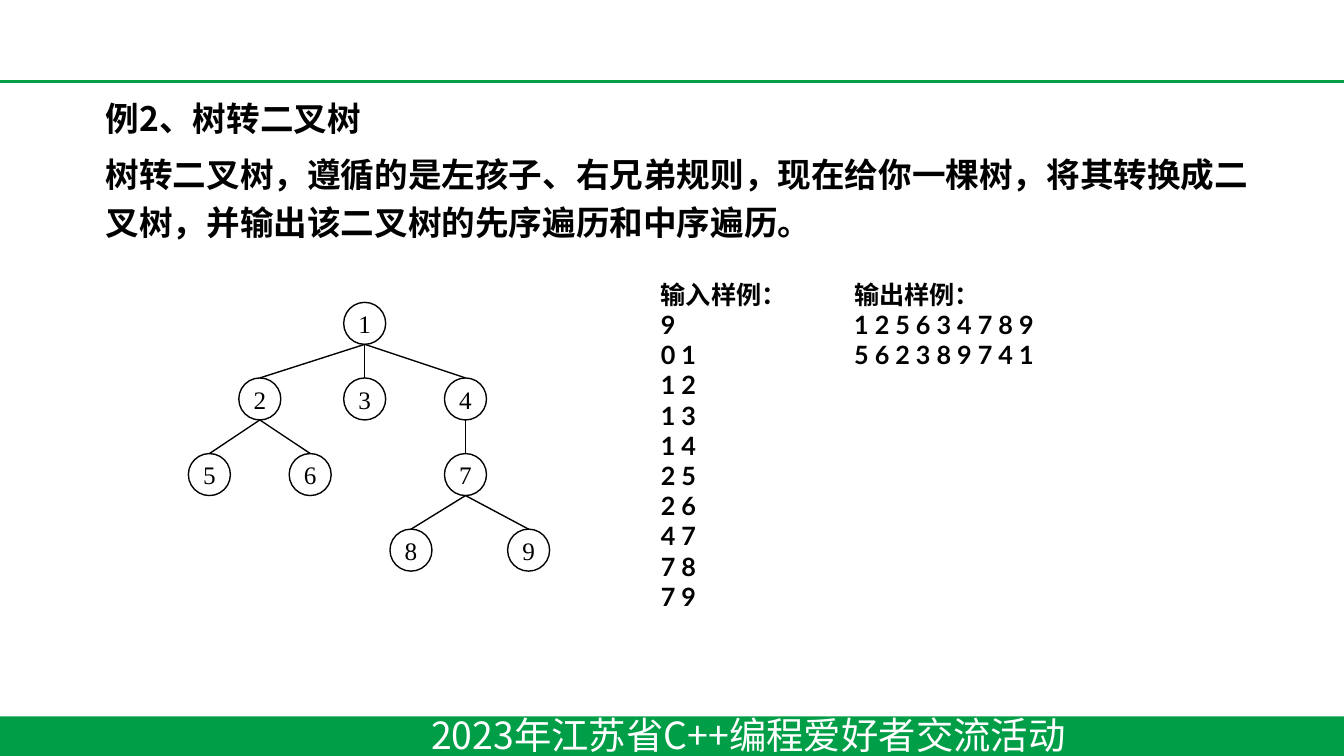
from dataclasses import dataclass

from lxml import etree
from pptx import Presentation
from pptx.dml.color import RGBColor
from pptx.enum.shapes import MSO_CONNECTOR, MSO_SHAPE
from pptx.enum.text import MSO_ANCHOR, PP_ALIGN
from pptx.oxml.ns import qn
from pptx.util import Pt

RECTANGLE, OVAL = MSO_SHAPE.RECTANGLE, MSO_SHAPE.OVAL
STRAIGHT = MSO_CONNECTOR.STRAIGHT
MIDDLE, CENTER = MSO_ANCHOR.MIDDLE, PP_ALIGN.CENTER

GREEN = RGBColor(0x00, 0x9E, 0x47)
BLACK = RGBColor(0x00, 0x00, 0x00)
WHITE = RGBColor(0xFF, 0xFF, 0xFF)
CJK_FONT = "Noto Sans CJK SC"

WIDTH, HEIGHT = 720, 405
NODE_SIZE, TREE_TOP, LEVEL_STEP = 22.5, 162, 40.5

FOOTER_FONT = {"name": CJK_FONT, "size": Pt(20), "bold": False}
PROBLEM_FONT = {"name": CJK_FONT, "size": Pt(18), "bold": True}
SAMPLE_FONT = {"name": "Lato", "size": Pt(13.5), "bold": True}
NODE_FONT = {"name": "Times New Roman", "size": Pt(13.5), "bold": False}
PROBLEM_SPACING = {"line_spacing": 1.2, "space_before": Pt(4)}
PROBLEM_MARGINS = {"margin_left": Pt(2.7), "margin_right": Pt(2.7)}
NODE_FRAME = {"margin_left": 0, "margin_right": 0, "margin_top": 0,
              "margin_bottom": 0, "vertical_anchor": MIDDLE, "word_wrap": False}


@dataclass(frozen=True)
class Node:
    label: int
    center: float
    level: int
    parent: int = 0

    @property
    def top(self) -> float:
        return TREE_TOP + self.level * LEVEL_STEP


@dataclass(frozen=True)
class TextBlock:
    left: float
    top: float
    width: float
    height: float
    lines: tuple[str, ...]
    font: dict
    color: RGBColor = BLACK
    hanging: float = 0


NODES = (
    Node(1, 195.4, 0),
    Node(2, 139.2, 1, 1), Node(3, 195.4, 1, 1), Node(4, 249.4, 1, 1),
    Node(5, 112.2, 2, 2), Node(6, 166.2, 2, 2), Node(7, 249.4, 2, 4),
    Node(8, 220.2, 3, 7), Node(9, 283.2, 3, 7),
)
FOOTER = TextBlock(223.9, 378, 493.9, 31.7,
                   ("2023年江苏省C++编程爱好者交流活动",), FOOTER_FONT, WHITE)
PROBLEM = TextBlock(54, 44.8, 619.2, 360, (
    "例2、树转二叉树",
    "树转二叉树，遵循的是左孩子、右兄弟规则，现在给你一棵树，"
    "将其转换成二叉树，并输出该二叉树的先序遍历和中序遍历。",
), PROBLEM_FONT)
SAMPLE_INPUT = TextBlock(347, 146, 89.3, 187.2, (
    "输入样例：", "9", "0 1", "1 2", "1 3", "1 4",
    "2 5", "2 6", "4 7", "7 8", "7 9",
), SAMPLE_FONT, hanging=36)
SAMPLE_OUTPUT = TextBlock(450.5, 146, 170, 56.2, (
    "输出样例：", "1 2 5 6 3 4 7 8 9", "5 6 2 3 8 9 7 4 1",
), SAMPLE_FONT, hanging=36)


def apply(target, values: dict) -> None:
    for name, value in values.items():
        setattr(target, name, value)


def write(paragraph, text: str, font: dict, color: RGBColor) -> None:
    run = paragraph.add_run()
    run.text = text
    apply(run.font, font)
    run.font.color.rgb = color
    east_asian = etree.SubElement(run.font._element, qn("a:ea"))
    east_asian.set("typeface", CJK_FONT)


def draw_text(shapes, block: TextBlock):
    frame = shapes.add_textbox(Pt(block.left), Pt(block.top),
                               Pt(block.width), Pt(block.height)).text_frame
    frame.word_wrap = True
    for index, line in enumerate(block.lines):
        paragraph = frame.add_paragraph() if index else frame.paragraphs[0]
        write(paragraph, line, block.font, block.color)
        if block.hanging:
            properties = paragraph._p.get_or_add_pPr()
            properties.set("marL", str(Pt(block.hanging)))
            properties.set("indent", str(-Pt(block.hanging)))
    return frame


def draw_line(shapes, start: tuple[float, float], end: tuple[float, float],
              color: RGBColor, weight: float) -> None:
    line = shapes.add_connector(STRAIGHT, *map(Pt, start + end))
    line.line.color.rgb = color
    line.line.width = Pt(weight)
    etree.SubElement(line._element.spPr, qn("a:effectLst"))


def draw_node(shapes, node: Node) -> None:
    circle = shapes.add_shape(OVAL, Pt(node.center - NODE_SIZE / 2), Pt(node.top),
                              Pt(NODE_SIZE), Pt(NODE_SIZE))
    circle.shadow.inherit = False
    circle.fill.background()
    circle.line.color.rgb = BLACK
    circle.line.width = Pt(0.75)
    apply(circle.text_frame, NODE_FRAME)
    label = circle.text_frame.paragraphs[0]
    label.alignment = CENTER
    write(label, str(node.label), NODE_FONT, BLACK)


def draw_tree(shapes, nodes: tuple[Node, ...]) -> None:
    tree = shapes.add_group_shape().shapes
    by_label = {node.label: node for node in nodes}
    for node in nodes:
        draw_node(tree, node)
    for node in nodes:
        if node.parent:
            parent = by_label[node.parent]
            draw_line(tree, (parent.center, parent.top + NODE_SIZE),
                      (node.center, node.top), BLACK, 0.75)


def main() -> None:
    deck = Presentation()
    deck.slide_width, deck.slide_height = Pt(WIDTH), Pt(HEIGHT)
    shapes = deck.slides.add_slide(deck.slide_layouts[6]).shapes

    # Header rule and footer band
    draw_line(shapes, (0, 43.7), (WIDTH, 43.7), GREEN, 1.75)
    band = shapes.add_shape(RECTANGLE, 0, Pt(383.8), Pt(WIDTH), Pt(HEIGHT - 383.8))
    band.shadow.inherit = False
    band.fill.solid()
    band.fill.fore_color.rgb = GREEN
    band.line.fill.background()
    draw_text(shapes, FOOTER)

    # Problem statement
    problem = draw_text(shapes, PROBLEM)
    apply(problem, PROBLEM_MARGINS)
    for paragraph in problem.paragraphs:
        apply(paragraph, PROBLEM_SPACING)

    # Example tree
    draw_tree(shapes, NODES)

    # Sample input and output
    for sample in (SAMPLE_INPUT, SAMPLE_OUTPUT):
        draw_text(shapes, sample)

    deck.save("out.pptx")


if __name__ == "__main__":
    main()
